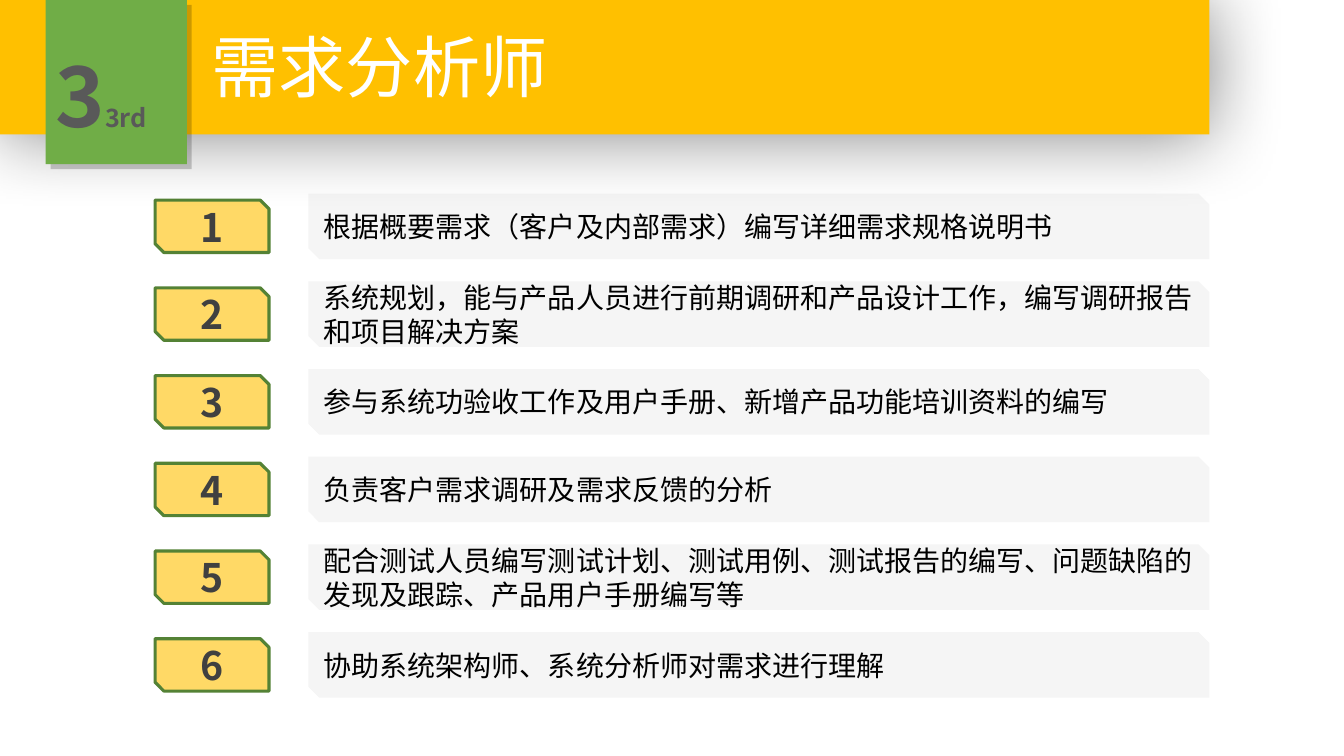
from lxml import etree
from pptx import Presentation
from pptx.dml.color import RGBColor
from pptx.enum.shapes import MSO_SHAPE as SHAPE
from pptx.enum.text import MSO_ANCHOR as ANCHOR, PP_ALIGN as ALIGN
from pptx.oxml.ns import qn
from pptx.util import Cm, Pt

# Content
TITLE = "需求分析师"
SECTION = [("3", 60), ("3rd", 18)]
DUTIES = [
    "根据概要需求（客户及内部需求）编写详细需求规格说明书",
    "系统规划，能与产品人员进行前期调研和产品设计工作，编写调研报告和项目解决方案",
    "参与系统功验收工作及用户手册、新增产品功能培训资料的编写",
    "负责客户需求调研及需求反馈的分析",
    "配合测试人员编写测试计划、测试用例、测试报告的编写、问题缺陷的发现及跟踪、产品用户手册编写等",
    "协助系统架构师、系统分析师对需求进行理解",
]

# Style
FONT = "Noto Sans CJK SC"
AMBER = RGBColor(0xFF, 0xC0, 0x00)
PALE_AMBER = RGBColor(0xFF, 0xD9, 0x66)
GREEN = RGBColor(0x70, 0xAD, 0x47)
DARK_GREEN = RGBColor(0x54, 0x82, 0x35)
PALE_GREY = RGBColor(0xF5, 0xF5, 0xF5)
MID_GREY = RGBColor(0x59, 0x59, 0x59)
DARK_GREY = RGBColor(0x40, 0x40, 0x40)
BLACK = RGBColor(0, 0, 0)
WHITE = RGBColor(0xFF, 0xFF, 0xFF)

# Layout
ROW_TOP, ROW_PITCH = Cm(4.88), Cm(2.21)
BAR_LEFT, BAR_WIDTH, BAR_HEIGHT = Cm(7.77), Cm(22.71), Cm(1.65)
NUMBER_LEFT, NUMBER_WIDTH, NUMBER_HEIGHT = Cm(3.91), Cm(2.87), Cm(1.32)

deck = Presentation()
deck.slide_width, deck.slide_height = Cm(33.87), Cm(19.05)
slide = deck.slides.add_slide(deck.slide_layouts[6])


def write(holder, runs, color, bold=False, align=ALIGN.LEFT,
          anchor=ANCHOR.TOP, spacing=None):
    """Fill one paragraph with (text, size) runs."""
    frame = holder.text_frame
    frame.word_wrap = True
    frame.vertical_anchor = anchor
    paragraph = frame.paragraphs[0]
    paragraph.alignment = align
    paragraph.line_spacing = spacing
    for text, size in runs:
        run = paragraph.add_run()
        run.text = text
        font = run.font
        font.name, font.size, font.bold = FONT, Pt(size), bold
        font.color.rgb = color
        etree.SubElement(font._element, qn("a:ea"), typeface=FONT)


def block(kind, left, top, width, height, fill, outline=None):
    shape = slide.shapes.add_shape(kind, left, top, width, height)
    shape.shadow.inherit = False
    shape.fill.solid()
    shape.fill.fore_color.rgb = fill
    if outline is None:
        shape.line.fill.background()
    else:
        shape.line.color.rgb = outline
        shape.line.width = Pt(2.25)
    return shape


def cast_shadow(shape, opacity, blur=0, distance=0, angle=0, align="ctr"):
    effects = shape._element.spPr.find(qn("a:effectLst"))
    shadow = etree.SubElement(
        effects, qn("a:outerShdw"), blurRad=str(Pt(blur)),
        dist=str(Pt(distance)), dir=str(angle * 60000), algn=align, rotWithShape="0")
    color = etree.SubElement(shadow, qn("a:srgbClr"), val="000000")
    etree.SubElement(color, qn("a:alpha"), val=str(opacity * 1000))


# Numbered duties
for index, duty in enumerate(DUTIES):
    top = ROW_TOP + index * ROW_PITCH
    number = block(SHAPE.SNIP_2_DIAG_RECTANGLE, NUMBER_LEFT,
                   top + (BAR_HEIGHT - NUMBER_HEIGHT) // 2,
                   NUMBER_WIDTH, NUMBER_HEIGHT, PALE_AMBER, DARK_GREEN)
    write(number, [(str(index + 1), 28)], DARK_GREY, bold=True,
          align=ALIGN.CENTER, anchor=ANCHOR.MIDDLE)
    bar = block(SHAPE.SNIP_2_DIAG_RECTANGLE, BAR_LEFT, top,
                BAR_WIDTH, BAR_HEIGHT, PALE_GREY)
    write(bar, [(duty, 20)], BLACK, anchor=ANCHOR.MIDDLE)

# Header band and title
band = block(SHAPE.RECTANGLE, 0, 0, Cm(30.48), Cm(3.39), AMBER)
cast_shadow(band, 48, blur=54)
title = slide.shapes.add_textbox(Cm(5.08), Cm(0.51), Cm(13.51), Cm(2.31))
write(title, [(TITLE, 48)], WHITE)

# Section tab
tab = block(SHAPE.RECTANGLE, Cm(1.15), 0, Cm(3.56), Cm(4.14), GREEN)
cast_shadow(tab, 20, distance=5, angle=45, align="tl")
section = slide.shapes.add_textbox(Cm(1.15), Cm(0.97), Cm(3.91), Cm(2.82))
write(section, SECTION, MID_GREY, bold=True)

deck.save("out.pptx")
